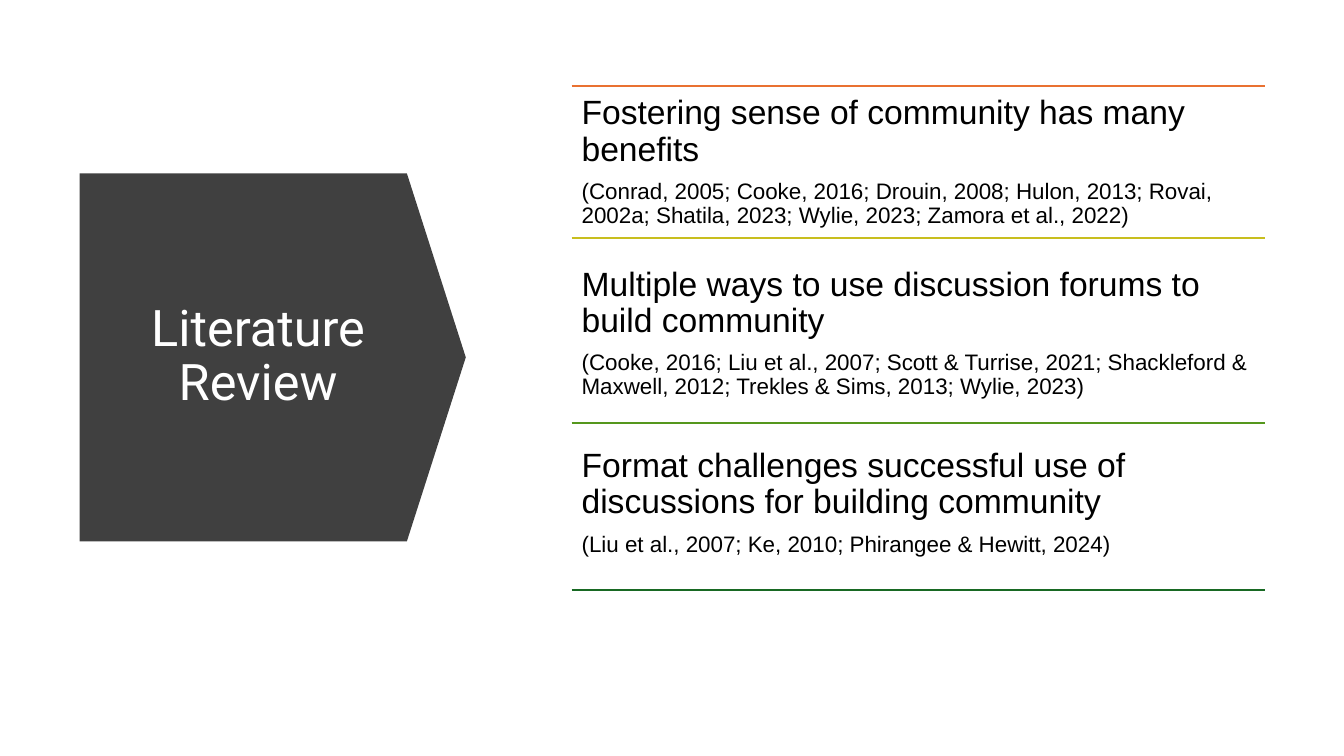
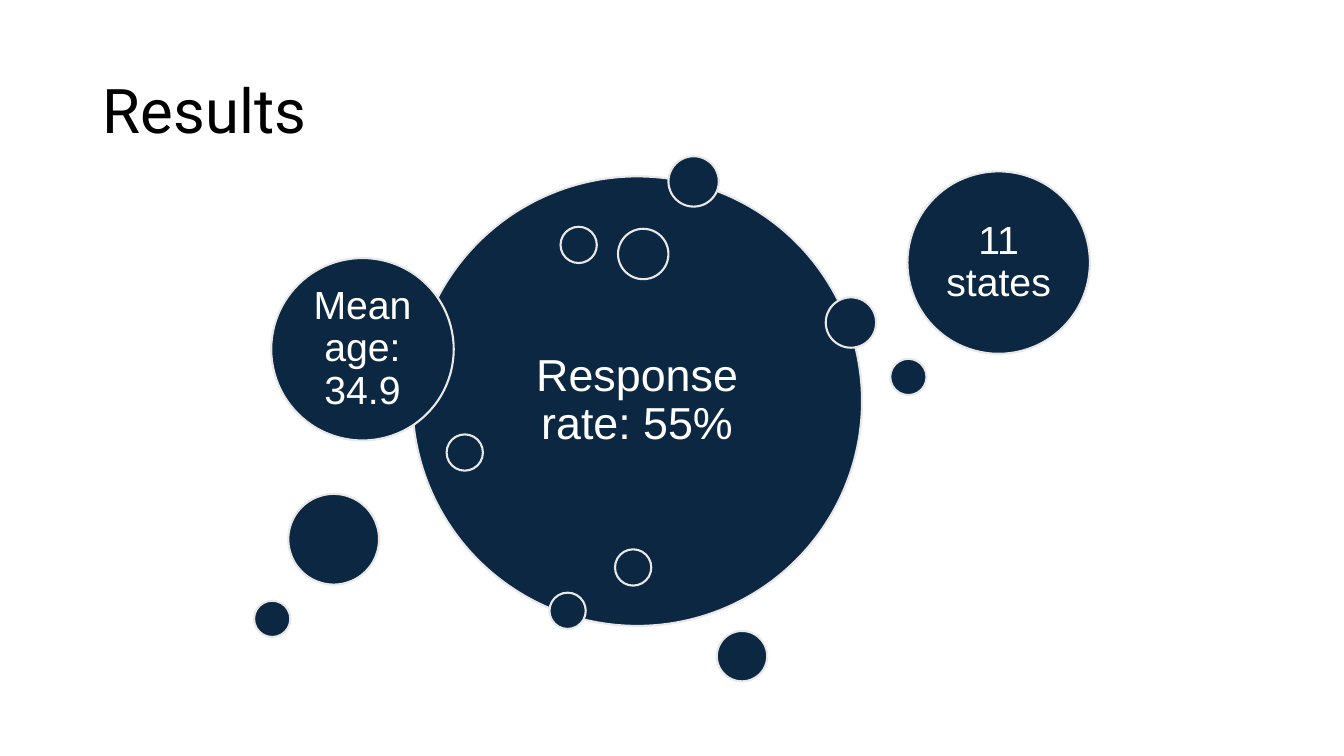
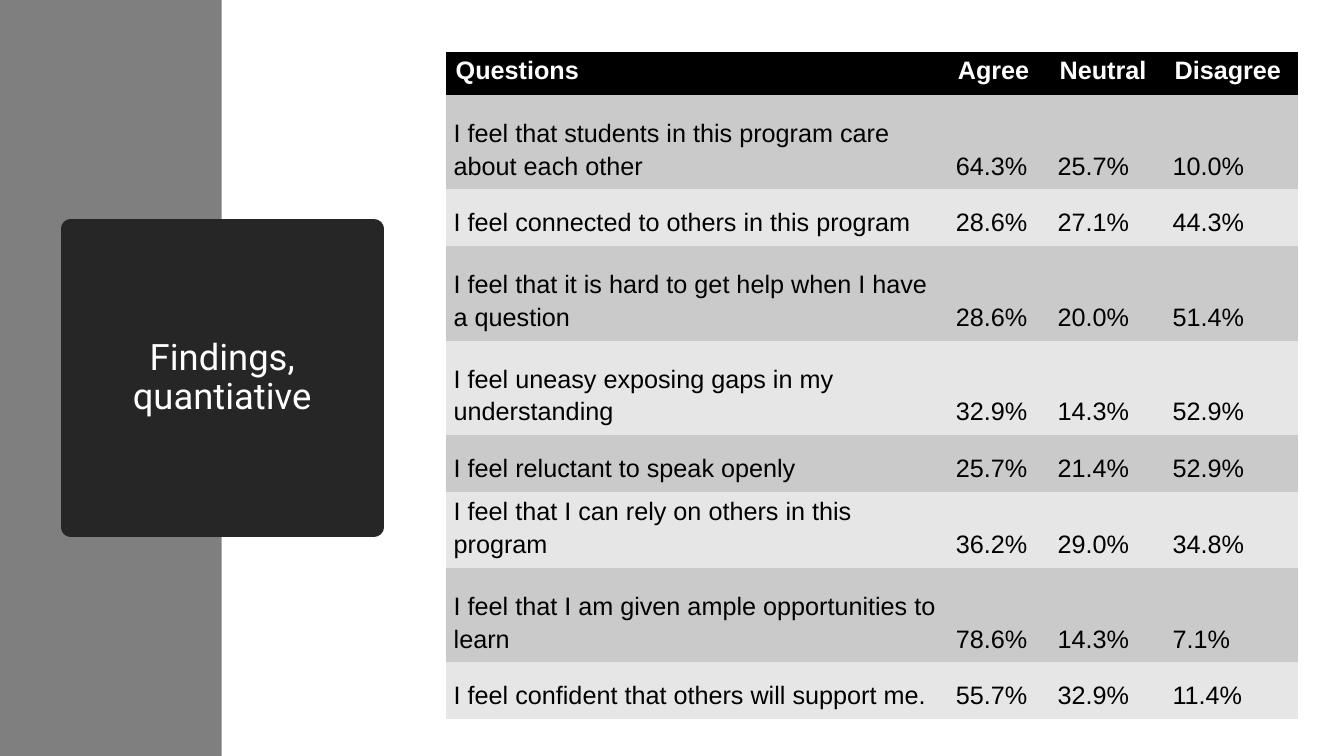
import pptx
import pptx.util
import pptx.dml.color
import pptx.enum.shapes
import pptx.enum.text
import pptx.oxml.ns
import lxml.etree

Inches, Pt = pptx.util.Inches, pptx.util.Pt
SHAPE = pptx.enum.shapes.MSO_SHAPE
ANCHOR = pptx.enum.text.MSO_ANCHOR
ALIGN = pptx.enum.text.PP_ALIGN

COLORS = {
    "black": "000000", "white": "FFFFFF",
    "arrow": "404040", "side band": "7F7F7F", "title card": "262626",
    "bubble": "0B2741", "bubble edge": "E8E8E8",
    "odd row": "CACACA", "even row": "E6E6E6",
    "orange": "E97131", "yellow": "C8BE1E", "green": "55971D", "dark green": "186923",
}
TITLE_FONT, BODY_FONT = "Roboto", "Arial"

# Heading, citations, top of the text
THEMES = [
    ("Fostering sense of community has many benefits",
     "(Conrad, 2005; Cooke, 2016; Drouin, 2008; Hulon, 2013; Rovai, 2002a; "
     "Shatila, 2023; Wylie, 2023; Zamora et al., 2022)", 0.85),
    ("Multiple ways to use discussion forums to build community",
     "(Cooke, 2016; Liu et al., 2007; Scott & Turrise, 2021; Shackleford & Maxwell, 2012; "
     "Trekles & Sims, 2013; Wylie, 2023)", 2.55),
    ("Format challenges successful use of discussions for building community",
     "(Liu et al., 2007; Ke, 2010; Phirangee & Hewitt, 2024)", 4.35),
]
RULES = [(0.85, "orange"), (2.36, "yellow"), (4.2, "green"), (5.85, "dark green")]
THEME_LEFT, THEME_WIDTH, THEME_HEIGHT = 5.67, 6.88, 1.51

# Left, top, diameter, text, text size; back to front
SMALL, MEDIUM, LARGE, FACT = 0.36, 0.5, 0.9, 1.81
BUBBLES = [
    (4.09, 1.75, 4.46, "Response rate: 55%", 32),
    (6.63, 1.55, MEDIUM, "", 0),
    (5.45, 5.88, SMALL, "", 0),
    (8.83, 3.56, SMALL, "", 0),
    (7.11, 6.26, MEDIUM, "", 0),
    (5.56, 2.25, SMALL, "", 0),
    (4.43, 4.31, SMALL, "", 0),
    (2.69, 2.56, FACT, "Mean age: 34.9", 28),
    (6.13, 2.27, MEDIUM, "", 0),
    (2.86, 4.9, LARGE, "", 0),
    (9, 1.7, FACT, "11 states", 28),
    (8.19, 2.95, MEDIUM, "", 0),
    (2.52, 5.96, SMALL, "", 0),
    (6.1, 5.45, SMALL, "", 0),
]

HEADER = ("Questions", "Agree", "Neutral", "Disagree")
ANSWERS = [
    ("I feel that students in this program care about each other", "64.3%", "25.7%", "10.0%"),
    ("I feel connected to others in this program", "28.6%", "27.1%", "44.3%"),
    ("I feel that it is hard to get help when I have a question", "28.6%", "20.0%", "51.4%"),
    ("I feel uneasy exposing gaps in my understanding", "32.9%", "14.3%", "52.9%"),
    ("I feel reluctant to speak openly", "25.7%", "21.4%", "52.9%"),
    ("I feel that I can rely on others in this program", "36.2%", "29.0%", "34.8%"),
    ("I feel that I am given ample opportunities to learn", "78.6%", "14.3%", "7.1%"),
    ("I feel confident that others will support me.", "55.7%", "32.9%", "11.4%"),
]
COLUMN_WIDTHS = (4.98, 1.01, 1.14, 1.32)
ROW_HEIGHTS = (0.42, 0.94, 0.56, 0.94, 0.94, 0.56, 0.56, 0.94, 0.56)
NO_TABLE_STYLE = "{2D5ABB26-0587-4C30-8999-92F81FD0307C}"


def rgb(name):
    return pptx.dml.color.RGBColor.from_string(COLORS[name])


def fill(target, color):
    target.fill.solid()
    target.fill.fore_color.rgb = rgb(color)


def outline(line, color, width):
    line.color.rgb = rgb(color)
    line.width = Pt(width)


def style(paragraph, size, color, font=BODY_FONT, align=ALIGN.LEFT, spacing=0.9, bold=False):
    paragraph.alignment = align
    paragraph.line_spacing = spacing
    for run in paragraph.runs:
        run.font.name, run.font.size, run.font.bold = font, Pt(size), bold
        run.font.color.rgb = rgb(color)


def set_margins(target, left, top, right, bottom):
    target.margin_left, target.margin_top = Inches(left), Inches(top)
    target.margin_right, target.margin_bottom = Inches(right), Inches(bottom)


def add_shape(slide, preset, left, top, width, height, color):
    shape = slide.shapes.add_shape(
        preset, Inches(left), Inches(top), Inches(width), Inches(height))
    shape.shadow.inherit = False
    fill(shape, color)
    shape.line.fill.background()
    return shape


def place_title(slide, text, box, size, color, align=ALIGN.CENTER):
    """Fill the title placeholder and bring it in front of the shapes drawn so far."""
    title = slide.shapes.title
    title.left, title.top, title.width, title.height = map(Inches, box)
    frame = title.text_frame
    frame.text = text
    frame.word_wrap = True
    frame.auto_size = pptx.enum.text.MSO_AUTO_SIZE.NONE
    frame.vertical_anchor = ANCHOR.MIDDLE
    set_margins(frame, 0.1, 0.05, 0.1, 0.05)
    style(frame.paragraphs[0], size, color, TITLE_FONT, align)
    slide.shapes.element.append(title.element)
    return title


def build_literature(slide):
    arrow = add_shape(slide, SHAPE.PENTAGON, 0.79, 1.72, 3.83, 3.65, "arrow")
    arrow.adjustments[0] = 0.16
    place_title(slide, "Literature Review", (1.12, 2.15, 2.88, 2.79), 36, "white")

    for top, color in RULES:
        rule = slide.shapes.add_connector(
            pptx.enum.shapes.MSO_CONNECTOR.STRAIGHT, Inches(THEME_LEFT), Inches(top),
            Inches(THEME_LEFT + THEME_WIDTH), Inches(top))
        outline(rule.line, color, 1.5)
        lxml.etree.SubElement(rule.element.spPr, pptx.oxml.ns.qn("a:effectLst"))

    for heading, citations, top in THEMES:
        theme = slide.shapes.add_textbox(
            Inches(THEME_LEFT), Inches(top), Inches(THEME_WIDTH), Inches(THEME_HEIGHT))
        frame = theme.text_frame
        frame.word_wrap = True
        set_margins(frame, 0.1, 0.1, 0.1, 0.1)
        frame.text = heading
        style(frame.paragraphs[0], 24, "black")
        sources = frame.add_paragraph()
        sources.text = citations
        sources.space_before = Pt(8.4)
        style(sources, 16, "black")


def build_results(slide):
    place_title(slide, "Results", (0.92, 0.4, 11.5, 1.45), 44, "black", ALIGN.LEFT)
    for left, top, diameter, text, size in BUBBLES:
        bubble = add_shape(slide, SHAPE.OVAL, left, top, diameter, diameter, "bubble")
        outline(bubble.line, "bubble edge", 1.5)
        if text:
            frame = bubble.text_frame
            frame.text = text
            frame.word_wrap = True
            frame.vertical_anchor = ANCHOR.MIDDLE
            set_margins(frame, 0.12, 0.12, 0.12, 0.12)
            style(frame.paragraphs[0], size, "white", align=ALIGN.CENTER)


def build_findings(slide):
    add_shape(slide, SHAPE.RECTANGLE, 0, 0, 2.2, 7.5, "side band")
    card = place_title(slide, "Findings, quantiative", (0.7, 2.27, 3.01, 2.96), 26, "white")
    fill(card, "title card")
    outline(card.line, "title card", 13.75)
    lxml.etree.SubElement(card.line._get_or_add_ln(), pptx.oxml.ns.qn("a:round"))

    rows = [HEADER] + ANSWERS
    table = slide.shapes.add_table(
        len(rows), len(HEADER), Inches(4.42), Inches(0.52),
        Inches(sum(COLUMN_WIDTHS)), Inches(sum(ROW_HEIGHTS))).table
    table.horz_banding = False
    table._tbl.tblPr.find(pptx.oxml.ns.qn("a:tableStyleId")).text = NO_TABLE_STYLE
    for column, width in zip(table.columns, COLUMN_WIDTHS):
        column.width = Inches(width)
    for row, height in zip(table.rows, ROW_HEIGHTS):
        row.height = Inches(height)

    for r, values in enumerate(rows):
        for c, value in enumerate(values):
            cell = table.cell(r, c)
            cell.text = value
            paragraph = cell.text_frame.paragraphs[0]
            if r == 0:
                fill(cell, "black")
                set_margins(cell, 0.1, 0, 0.1, 0)
                style(paragraph, 18, "white", spacing=1.15, bold=True)
            else:
                fill(cell, "odd row" if r % 2 else "even row")
                cell.vertical_anchor = ANCHOR.BOTTOM
                set_margins(cell, 0.02, 0.02, 0.02, 0.09)
                style(paragraph, 18, "black", spacing=1.15)
                paragraph._p.get_or_add_pPr().set("marL", str(Inches(0.06)))


def main():
    deck = pptx.Presentation()
    deck.slide_width, deck.slide_height = Inches(13.33), Inches(7.5)
    title_only = deck.slide_layouts[5]
    for build in (build_literature, build_results, build_findings):
        build(deck.slides.add_slide(title_only))
    deck.save("out.pptx")


if __name__ == "__main__":
    main()
